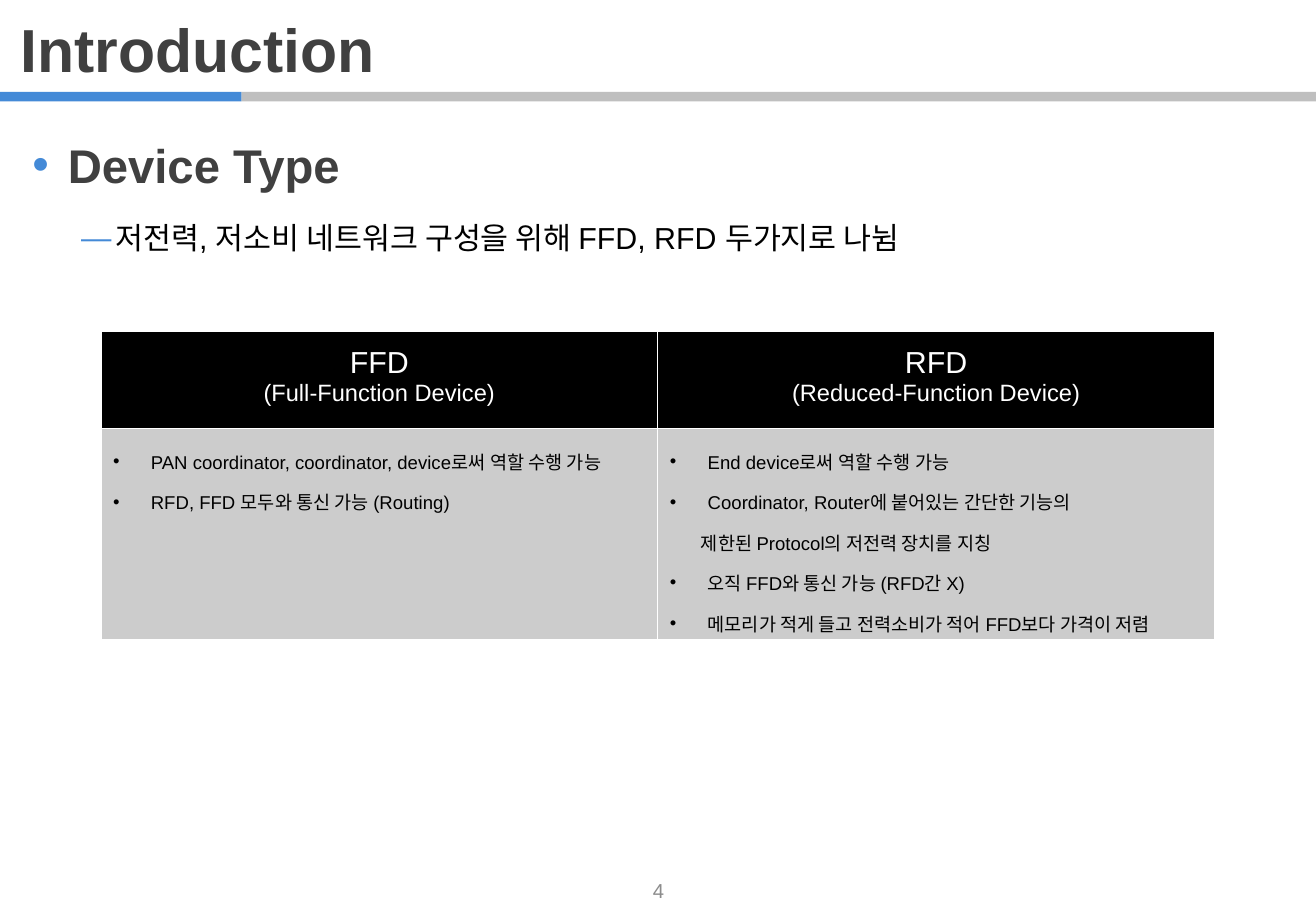
from lxml import etree
from pptx import Presentation
from pptx.dml.color import RGBColor
from pptx.enum import shapes, text
from pptx.oxml import ns
from pptx.util import Cm, Pt

BLUE = RGBColor(0x44, 0x8A, 0xD7)
SILVER = RGBColor(0xBF, 0xBF, 0xBF)
PAGE_GRAY = RGBColor(0x8C, 0x8C, 0x8C)
DARK = RGBColor(0x40, 0x40, 0x40)
CELL_GRAY = RGBColor(0xCC, 0xCC, 0xCC)
BLACK = RGBColor(0, 0, 0)
WHITE = RGBColor(0xFF, 0xFF, 0xFF)

DEVICES = [
    (
        ("FFD", "(Full-Function Device)"),
        [
            ("PAN coordinator, coordinator, device로써 역할 수행 가능", True),
            ("RFD, FFD 모두와 통신 가능 (Routing)", True),
        ],
    ),
    (
        ("RFD", "(Reduced-Function Device)"),
        [
            ("End device로써 역할 수행 가능", True),
            ("Coordinator, Router에 붙어있는 간단한 기능의", True),
            ("제한된 Protocol의 저전력 장치를 지칭", False),
            ("오직 FFD와 통신 가능 (RFD간 X)", True),
            ("메모리가 적게 들고 전력소비가 적어 FFD보다 가격이 저렴", True),
        ],
    ),
]


def write(paragraph, words, size, color, bold=False):
    paragraph.text = words
    for run in paragraph.runs:
        run.font.name = "Arial"
        run.font.size = Pt(size)
        run.font.bold = bold
        run.font.color.rgb = color


def next_paragraph(text_frame, index):
    return text_frame.add_paragraph() if index else text_frame.paragraphs[0]


def add_color(parent, color):
    etree.SubElement(parent, ns.qn("a:srgbClr"), val=str(color))


def indent(paragraph, left, hanging=0, bullet=None, color=BLACK):
    properties = paragraph._p.get_or_add_pPr()
    properties.set("marL", str(Cm(left)))
    properties.set("indent", str(-Cm(hanging)))
    if bullet:
        add_color(etree.SubElement(properties, ns.qn("a:buClr")), color)
        etree.SubElement(properties, ns.qn("a:buFont"), typeface="Arial")
        etree.SubElement(properties, ns.qn("a:buChar"), char=bullet)


def add_bar(slide, left, top, width, height, color):
    bar = slide.shapes.add_shape(
        shapes.MSO_SHAPE.RECTANGLE, Cm(left), Cm(top), Cm(width), Cm(height))
    bar.shadow.inherit = False
    bar.fill.solid()
    bar.fill.fore_color.rgb = color
    bar.line.fill.background()


def add_header(slide, left, top, width, height):
    title = slide.shapes.title
    title.left, title.top = Cm(left + 0.43), Cm(top + 0.41)
    title.width, title.height = Cm(18.16), Cm(1.4)
    frame = title.text_frame
    frame.margin_left = frame.margin_right = 0
    frame.margin_top = frame.margin_bottom = 0
    frame.auto_size = text.MSO_AUTO_SIZE.NONE
    frame.vertical_anchor = text.MSO_ANCHOR.TOP
    paragraph = frame.paragraphs[0]
    write(paragraph, "Introduction", 36, DARK, True)
    paragraph.alignment = text.PP_ALIGN.LEFT
    paragraph.line_spacing = 0.9
    bar_height = 0.2
    bar_top = top + height - bar_height
    blue_width = 5.05
    add_bar(slide, left + blue_width, bar_top, width - blue_width, bar_height, SILVER)
    add_bar(slide, left, bar_top, blue_width, bar_height, BLUE)


def add_text_box(slide, left, top, width, height):
    box = slide.shapes.add_textbox(Cm(left), Cm(top), Cm(width), Cm(height))
    box.text_frame.word_wrap = True
    return box.text_frame


def add_topic(slide, left, top, width, height):
    frame = add_text_box(slide, left, top, width, height)
    heading = frame.paragraphs[0]
    write(heading, "Device Type", 28, DARK, True)
    indent(heading, 0.74, 0.74, "•", BLUE)
    heading.space_before = Pt(10)
    detail = frame.add_paragraph()
    write(detail, "저전력, 저소비 네트워크 구성을 위해 FFD, RFD 두가지로 나뉨", 18, BLACK)
    detail.level = 1
    indent(detail, 1.73, 0.71, "—", BLUE)
    detail.space_before = Pt(5)
    for paragraph in frame.paragraphs:
        paragraph.line_spacing = 1.5


def style_cell(cell, color):
    properties = cell._tc.get_or_add_tcPr()
    for side in ("lnL", "lnR", "lnT", "lnB"):
        border = etree.SubElement(properties, ns.qn("a:" + side), w=str(Pt(1)))
        add_color(etree.SubElement(border, ns.qn("a:solidFill")), WHITE)
    cell.fill.solid()
    cell.fill.fore_color.rgb = color


def fill_heading_cell(cell, lines):
    style_cell(cell, BLACK)
    cell.margin_top = cell.margin_bottom = Cm(0.3)
    for index, (line, size) in enumerate(zip(lines, (18, 14))):
        paragraph = next_paragraph(cell.text_frame, index)
        write(paragraph, line, size, WHITE)
        paragraph.alignment = text.PP_ALIGN.CENTER


def fill_feature_cell(cell, features):
    style_cell(cell, CELL_GRAY)
    for index, (words, bulleted) in enumerate(features):
        paragraph = next_paragraph(cell.text_frame, index)
        write(paragraph, words, 11, BLACK)
        if bulleted:
            indent(paragraph, 0.79, 0.79, "•")
        else:
            indent(paragraph, 0.65)
        paragraph.line_spacing = 1.5


def add_device_table(slide, left, top, width, height):
    table = slide.shapes.add_table(
        2, len(DEVICES), Cm(left), Cm(top), Cm(width), Cm(height)).table
    heading_height = 2.03
    table.rows[0].height = Cm(heading_height)
    table.rows[1].height = Cm(height - heading_height)
    for column, (heading, features) in enumerate(DEVICES):
        fill_heading_cell(table.cell(0, column), heading)
        fill_feature_cell(table.cell(1, column), features)


def add_page_number(slide, left, top, width, height):
    frame = add_text_box(slide, left, top, width, height)
    frame.vertical_anchor = text.MSO_ANCHOR.MIDDLE
    write(frame.paragraphs[0], "4", 12, PAGE_GRAY)
    frame.paragraphs[0].alignment = text.PP_ALIGN.CENTER


def main():
    presentation = Presentation()
    presentation.slide_width = Cm(27.52)
    presentation.slide_height = Cm(19.05)
    slide = presentation.slides.add_slide(presentation.slide_layouts[5])
    add_header(slide, 0, 0, 27.52, 2.12)
    add_topic(slide, 0.43, 2.13, 26.67, 14.81)
    add_device_table(slide, 2.11, 6.93, 23.29, 6.45)
    add_page_number(slide, 10.67, 18.11, 6.2, 1.02)
    presentation.save("out.pptx")


if __name__ == "__main__":
    main()
